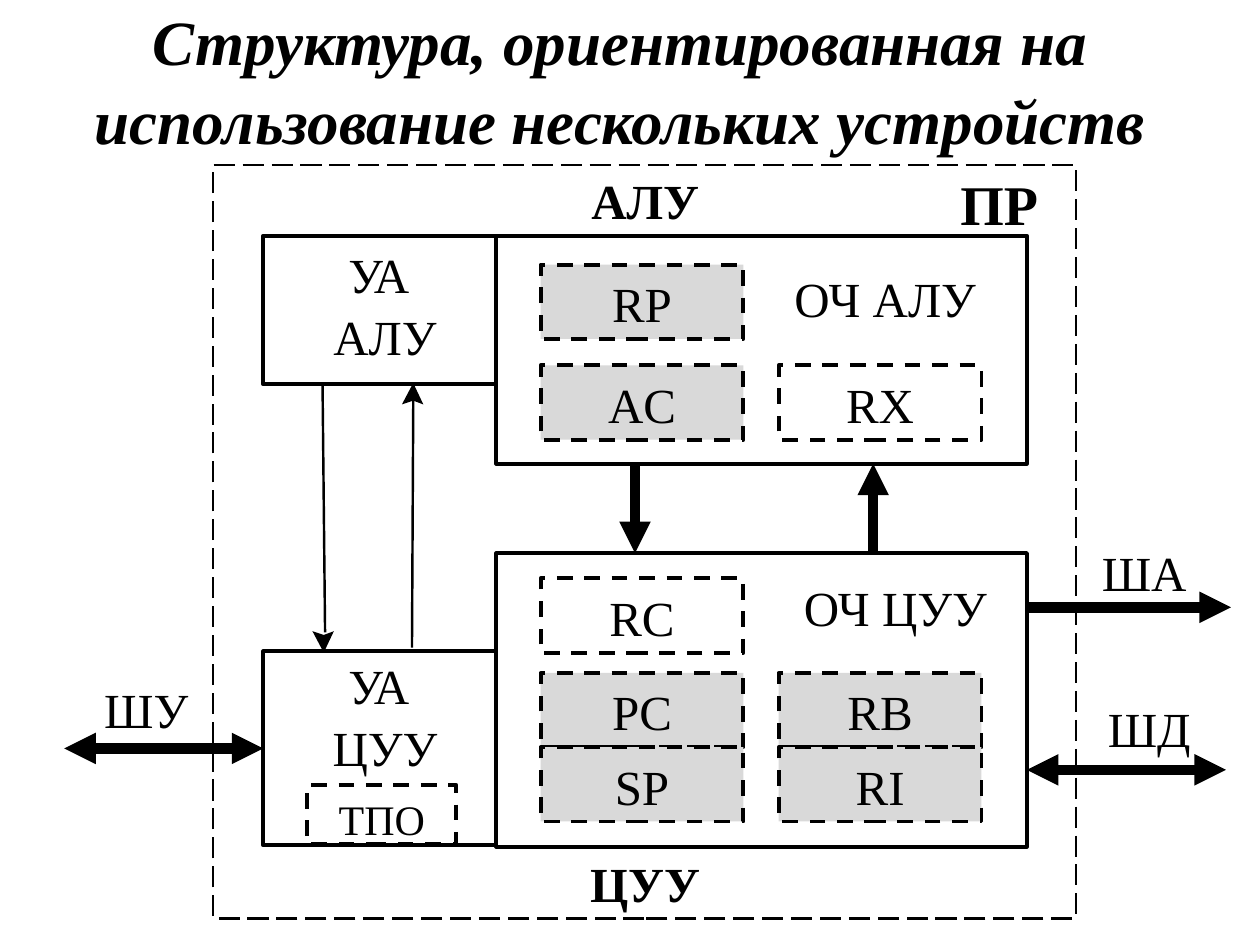
from lxml import etree
from pptx import Presentation, util as u
from pptx.dml.color import RGBColor
from pptx.enum import dml, shapes, text
from pptx.oxml.ns import qn

PX = 9144  # EMU in one px, 100 px to the inch
COL = {"ink": "000000", "gray": "D9D9D9"}
DASH = dml.MSO_LINE
REG = 161, 59
COLS = 220, 409
UNIT_W, CTRL_W = 606, 185


def px(*nums):
    return [u.Emu(n * PX) for n in nums]


def rgb(key):
    return RGBColor.from_string(COL[key])


def put(frame, words, size=28, top=True, **font):
    """Write centred lines of text, one paragraph for each."""
    anchor = text.MSO_ANCHOR.TOP if top else text.MSO_ANCHOR.MIDDLE
    frame.word_wrap = True
    frame.vertical_anchor = anchor
    frame.text = words
    look = {"name": "Times New Roman", "size": u.Pt(size), **font}
    for par in frame.paragraphs:
        par.alignment = text.PP_ALIGN.CENTER
        par.line_spacing = 1.05
        for key, val in look.items():
            setattr(par.font, key, val)
        par.font.color.rgb = rgb("ink")


def rect(slide, box, words="", fill=None, width=2.25, dash=None, size=28):
    shape = slide.shapes.add_shape(shapes.MSO_SHAPE.RECTANGLE, *px(*box))
    shape.shadow.inherit = False
    if fill:
        shape.fill.solid()
        shape.fill.fore_color.rgb = rgb(fill)
    else:
        shape.fill.background()
    shape.line.color.rgb = rgb("ink")
    shape.line.width = u.Pt(width)
    if dash:
        shape.line.dash_style = dash
    if words:
        put(shape.text_frame, words, size)
    return shape


def label(slide, box, words, **look):
    put(slide.shapes.add_textbox(*px(*box)).text_frame, words, **look)


def wire(slide, start, end, width=6, ends=("tailEnd",)):
    line = slide.shapes.add_connector(
        shapes.MSO_CONNECTOR.STRAIGHT, *px(*start, *end))
    line.line.color.rgb = rgb("ink")
    line.line.width = u.Pt(width)
    pen = line.line._get_or_add_ln()
    for tag in ends:
        etree.SubElement(pen, qn("a:" + tag), type="triangle")
    etree.SubElement(line._element.spPr, qn("a:effectLst"))
    return line


def thin(slide, start, end, tip):
    """Draw a fine line with a notched head that ends at tip."""
    wire(slide, start, end, 1.39, ())
    x, y = tip
    back = 17 if start[1] > y else -17
    pen = slide.shapes.build_freeform(x, y, scale=PX)
    pen.add_line_segments([(x - 9, y + back), (x, y + back * 0.85),
                           (x + 8, y + back)])
    head = pen.convert_to_shape()
    head.shadow.inherit = False
    head.fill.solid()
    head.fill.fore_color.rgb = rgb("ink")
    head.line.fill.background()


def unit(slide, box, ctrl, name, side, regs):
    """Draw a control part and an operating part with its registers."""
    x, y, w, h = box
    top, high = ctrl
    auto = rect(slide, (x, y + top, CTRL_W, high))
    rect(slide, (x + CTRL_W, y, w - CTRL_W, h))
    shift, drop, lift = side
    label(slide, (x + 4, y + top - lift, CTRL_W, 87), f"УА \n{name}")
    label(slide, (x + shift, y + drop, CTRL_W, 59), f"ОЧ {name}")
    for word, col, row, fill in regs:
        rect(slide, (x + COLS[col], y + row, *REG), word, fill,
             dash=DASH.DASH)
    return auto


def alu(slide, box):
    x, y, w, h = box
    unit(slide, box, (0, 118), "АЛУ", (401, 19, 0), [
        ("RP", 0, 23, "gray"), ("AC", 0, 103, "gray"), ("RX", 1, 103, None)])
    label(slide, (x, y - 59, w, 59), "АЛУ", top=False, bold=True)


def cuu(slide, box):
    x, y, w, h = box
    auto = unit(slide, box, (78, 154), "ЦУУ", (409, 12, 4), [
        ("RС", 0, 20, None), ("PC", 0, 95, "gray"), ("SP", 0, 154, "gray"),
        ("RB", 1, 95, "gray"), ("RI", 1, 154, "gray")])
    rect(slide, (x + 35, y + 184, 118, 47), "ТПО", dash=DASH.DASH, size=24)
    label(slide, (x, y + h - 2, w, 59), "ЦУУ", top=False, bold=True)
    return auto


def links(slide, box):
    """Join the two units across the gap between them."""
    x, y, w, h = box
    wire(slide, (x + 295, y), (x + 295, y + h))
    wire(slide, (x + 484, y + h), (x + 484, y))
    thin(slide, (x + 47, y - 63), (x + 49, y + 134), (x + 48, y + 150))
    thin(slide, (x + 118, y + 146), (x + 119, y - 52), (x + 119, y - 64))


def buses(slide, box, auto):
    x, y, w, h = box
    both = "headEnd", "tailEnd"
    right = x + w
    wire(slide, (right, y + 43), (right + 162, y + 43))
    wire(slide, (right, y + 172), (right + 158, y + 172), ends=both)
    left = wire(slide, (x - 158, y + 155), (x, y + 155), ends=both)
    left.end_connect(auto, 1)
    for word, at, drop in (("ША", right + 24, -16), ("ШД", right + 28, 108),
                           ("ШУ", x - 162, 93)):
        label(slide, (at, y + drop, 138, 59), word)


def frame(slide, box):
    x, y, w, h = box
    rect(slide, box, width=1.5, dash=DASH.LONG_DASH)
    label(slide, (x + 555, y - 4, 138, 59), "ПР", size=32, bold=True)


def title(slide, box):
    head = slide.shapes.title
    for key, val in zip(("left", "top", "width", "height"), px(*box)):
        setattr(head, key, val)
    put(head.text_frame, "Структура, ориентированная на "
        "использование нескольких устройств", 36, False,
        bold=True, italic=True)


def main():
    deck = Presentation()
    deck.slide_width, deck.slide_height = px(1000, 750)
    slide = deck.slides.add_slide(deck.slide_layouts[5])
    title(slide, (0, 13, 984, 98))
    low = 209, 439, UNIT_W, 233
    auto = cuu(slide, low)
    alu(slide, (209, 187, UNIT_W, 181))
    links(slide, (209, 368, UNIT_W, 71))
    buses(slide, low, auto)
    frame(slide, (169, 131, 685, 598))
    deck.save("out.pptx")


if __name__ == "__main__":
    main()
